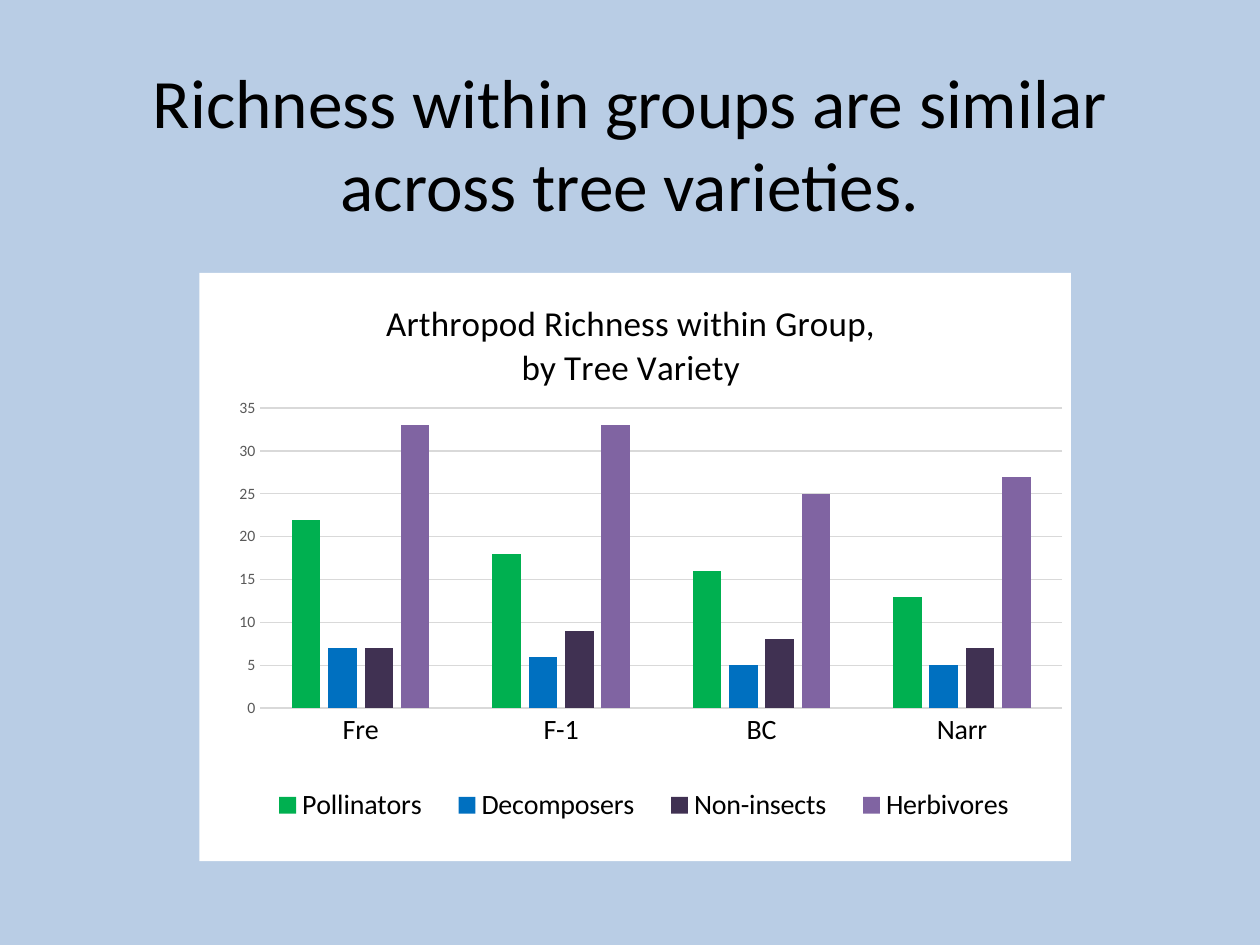
from lxml import etree
from pptx import Presentation
from pptx import util as u
from pptx.chart.data import CategoryChartData
from pptx.dml.color import RGBColor
from pptx.enum import chart as ch, text
from pptx.oxml import parse_xml
from pptx.oxml.ns import nsdecls, qn

Cm, Pt = u.Cm, u.Pt
COLORS = {
    "background": "B9CDE5", "panel": "FFFFFF", "text": "000000",
    "scale": "595959", "grid": "D9D9D9",
    "Pollinators": "00B050", "Decomposers": "0070C0",
    "Non-insects": "403152", "Herbivores": "8064A2",
}
RICHNESS = {
    "Pollinators": (22, 18, 16, 13),
    "Decomposers": (7, 6, 5, 5),
    "Non-insects": (7, 9, 8, 7),
    "Herbivores": (33, 33, 25, 27),
}


def write(p, content, size, color="text", font="Calibri"):
    p.alignment = text.PP_ALIGN.CENTER
    r = p.add_run()
    r.text = content
    r.font.size, r.font.name, r.font.bold = Pt(size), font, False
    r.font.color.rgb = RGBColor.from_string(COLORS[color])


def place(part, index, inner=False, **fractions):
    """Give a chart part a manual layout in fractions of the chart."""
    for old in part.findall(qn("c:layout")):
        part.remove(old)
    layout = parse_xml(f"<c:layout {nsdecls('c')}><c:manualLayout/></c:layout>")
    values = {"layoutTarget": "inner"} if inner else {}
    values.update(xMode="edge", yMode="edge", **fractions)
    for tag, value in values.items():
        etree.SubElement(layout[0], qn(f"c:{tag}")).set("val", str(value))
    part.insert(index, layout)


prs = Presentation()
prs.slide_width, prs.slide_height = Cm(25.4), Cm(19.05)
s = prs.slides.add_slide(prs.slide_layouts[5])
s.background.fill.solid()
s.background.fill.fore_color.rgb = RGBColor.from_string(COLORS["background"])

# Slide title
sp = s.shapes.title
sp.left, sp.top, sp.width, sp.height = Cm(1.27), Cm(1.27), Cm(22.86), Cm(3.18)
tf = sp.text_frame
tf.word_wrap = True
tf.auto_size = text.MSO_AUTO_SIZE.NONE
tf.vertical_anchor = text.MSO_ANCHOR.MIDDLE
write(tf.paragraphs[0], "Richness within groups are similar across tree varieties.", 39.6)

# Chart on a white panel
data = CategoryChartData()
data.categories = ["Fre", "F-1", "BC", "Narr"]
for name, values in RICHNESS.items():
    data.add_series(name, values)
chart = s.shapes.add_chart(ch.XL_CHART_TYPE.COLUMN_CLUSTERED, Cm(4.02), Cm(5.5),
                           Cm(17.57), Cm(11.86), data).chart
space = chart.element
space.find(qn("c:chart")).addnext(parse_xml(
    f"<c:spPr {nsdecls('c', 'a')}><a:solidFill><a:srgbClr val='{COLORS['panel']}'/>"
    "</a:solidFill><a:ln><a:noFill/></a:ln></c:spPr>"))
chart.font.name, chart.font.size = "Calibri", Pt(10)

# Chart title
chart.has_title = True
tf = chart.chart_title.text_frame
write(tf.paragraphs[0], "Arthropod Richness within Group,", 20)
write(tf.add_paragraph(), "by Tree Variety", 20)

# Columns
plot = chart.plots[0]
plot.gap_width, plot.overlap, plot.vary_by_categories = 219, -27, False
for series in plot.series:
    series.format.fill.solid()
    series.format.fill.fore_color.rgb = RGBColor.from_string(COLORS[series.name])

# Axes and legend
cat, val = chart.category_axis, chart.value_axis
val.minimum_scale, val.maximum_scale, val.major_unit = 0, 35, 5
val.has_major_gridlines = True
for axis in (cat, val):
    axis.major_tick_mark = axis.minor_tick_mark = ch.XL_TICK_MARK.NONE
for line in (cat.format.line, val.major_gridlines.format.line):
    line.color.rgb = RGBColor.from_string(COLORS["grid"])
    line.width = Pt(0.75)
val.format.line.fill.background()
chart.has_legend = True
legend = chart.legend
legend.position = ch.XL_LEGEND_POSITION.BOTTOM
legend.include_in_layout = False
for font, size, color in ((cat.tick_labels.font, 16, "text"),
                          (val.tick_labels.font, 9, "scale"),
                          (legend.font, 16, "text")):
    font.name, font.size = "Calibri", Pt(size)
    font.color.rgb = RGBColor.from_string(COLORS[color])

# Positions inside the chart
frame = space.find(qn("c:chart"))
place(frame.find(qn("c:title")), 1, x=0.21, y=0.04)
place(frame.find(qn("c:legend")), 1, x=0.06, y=0.86, w=0.9, h=0.09)
place(frame.find(qn("c:plotArea")), 0, inner=True, x=0.07, y=0.23, w=0.92, h=0.51)

prs.save("out.pptx")
